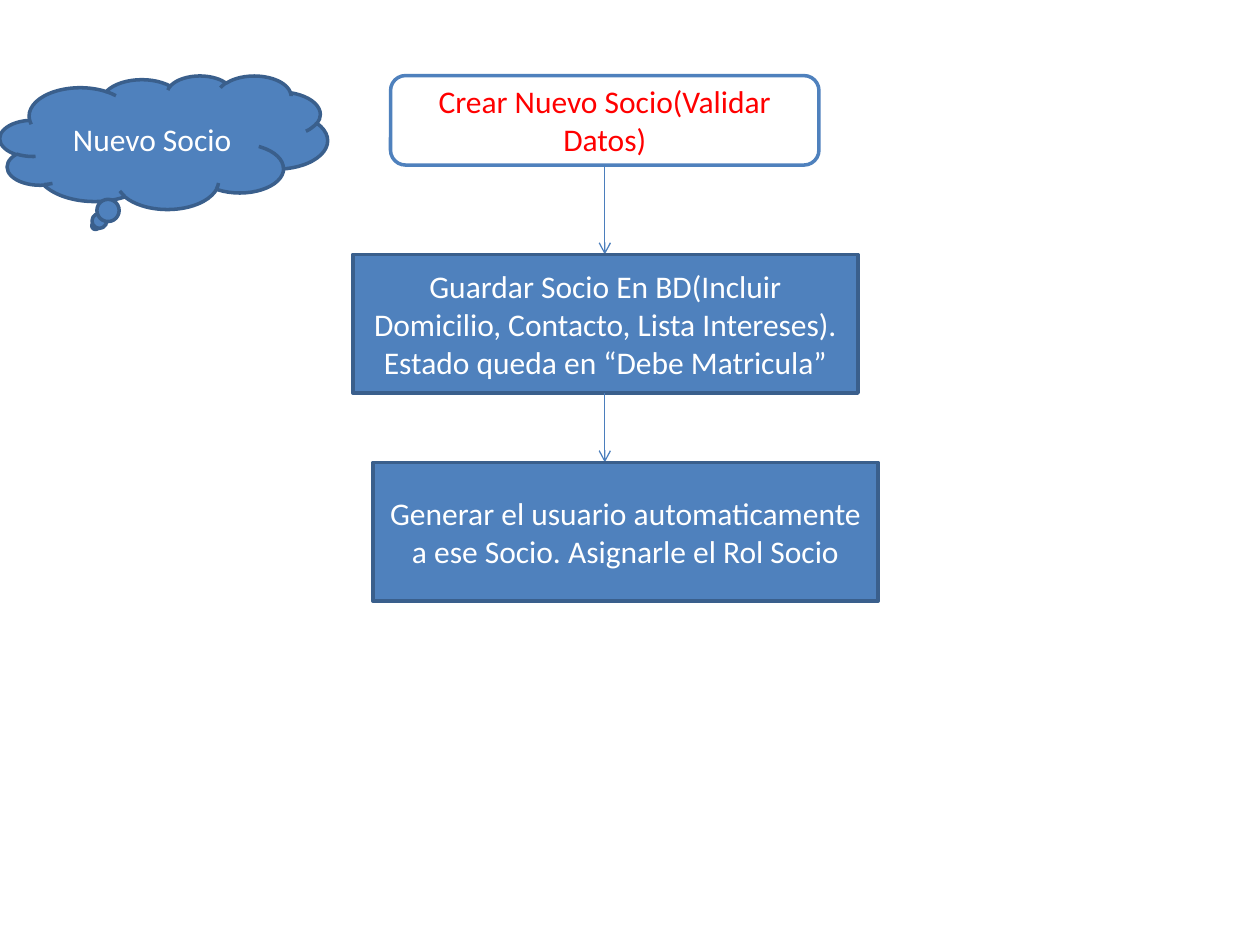
import pptx
import pptx.util
import pptx.dml.color
import pptx.enum.shapes
import pptx.enum.text
import pptx.oxml
import pptx.oxml.ns
from pptx.util import Inches

RGBColor = pptx.dml.color.RGBColor
Preset = pptx.enum.shapes.MSO_SHAPE

WHITE = RGBColor(0xFF, 0xFF, 0xFF)
RED = RGBColor(0xFF, 0x00, 0x00)
BLUE = RGBColor(0x4F, 0x81, 0xBD)
DARK_BLUE = RGBColor(0x3A, 0x5F, 0x8C)
ARROW_BLUE = RGBColor(0x4B, 0x7E, 0xBC)

FLOW_X = 4.8
STEP_WIDTH, STEP_HEIGHT = 4.01, 1.1


def write_text(shape, text, size=18, font="Calibri", color=WHITE):
    frame = shape.text_frame
    frame.word_wrap = True
    frame.vertical_anchor = pptx.enum.text.MSO_ANCHOR.MIDDLE
    paragraph = frame.paragraphs[0]
    paragraph.alignment = pptx.enum.text.PP_ALIGN.CENTER
    run = paragraph.add_run()
    run.text = text
    run.font.size = pptx.util.Pt(size)
    run.font.name = font
    run.font.color.rgb = color


def add_node(slide, preset, box, text, fill=BLUE, line=DARK_BLUE, color=WHITE):
    node = slide.shapes.add_shape(preset, *map(Inches, box))
    node.shadow.inherit = False
    node.fill.solid()
    node.fill.fore_color.rgb = fill
    node.line.color.rgb = line
    node.line.width = pptx.util.Pt(2)
    write_text(node, text, color=color)


def add_arrow(slide, top, bottom):
    arrow = slide.shapes.add_connector(
        pptx.enum.shapes.MSO_CONNECTOR.STRAIGHT,
        Inches(FLOW_X), Inches(top), Inches(FLOW_X), Inches(bottom))
    arrow.line.color.rgb = ARROW_BLUE
    arrow.line.width = pptx.util.Pt(0.75)
    # Open arrowhead and no shadow
    properties = arrow.line._get_or_add_ln()
    head = pptx.oxml.parse_xml(
        '<a:tailEnd %s type="arrow"/>' % pptx.oxml.ns.nsdecls("a"))
    properties.append(head)
    properties.addnext(pptx.oxml.parse_xml(
        "<a:effectLst %s/>" % pptx.oxml.ns.nsdecls("a")))


def main():
    deck = pptx.Presentation()
    deck.slide_width, deck.slide_height = Inches(10), Inches(7.5)
    slide = deck.slides.add_slide(deck.slide_layouts[6])

    # Process start
    add_node(slide, Preset.ROUNDED_RECTANGLE, (3.1, 0.6, 3.4, 0.71),
             "Crear Nuevo Socio(Validar Datos)",
             fill=WHITE, line=BLUE, color=RED)

    # Following steps, each reached by an arrow
    steps = [
        (2.8, 2.02, "Guardar Socio En BD(Incluir Domicilio, Contacto, "
                    "Lista Intereses). Estado queda en “Debe Matricula”"),
        (2.96, 3.67, "Generar el usuario automaticamente a ese Socio. "
                     "Asignarle el Rol Socio"),
    ]
    previous_bottom = 1.31
    for left, top, text in steps:
        add_arrow(slide, previous_bottom, top)
        add_node(slide, Preset.RECTANGLE,
                 (left, top, STEP_WIDTH, STEP_HEIGHT), text)
        previous_bottom = top + STEP_HEIGHT

    # Name of the process
    add_node(slide, Preset.CLOUD_CALLOUT, (0, 0.6, 2.6, 1.06), "Nuevo Socio")

    deck.save("out.pptx")


main()
